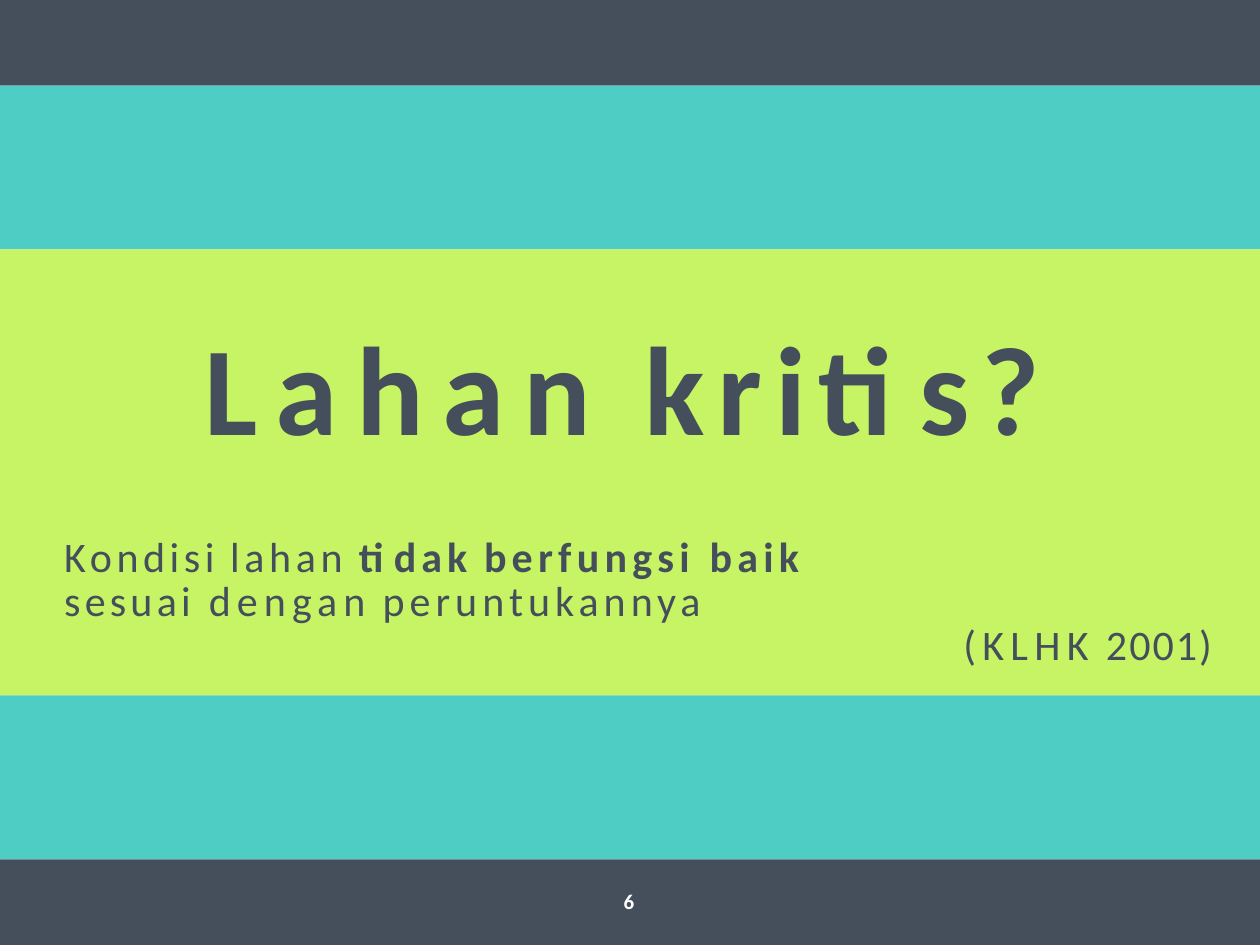
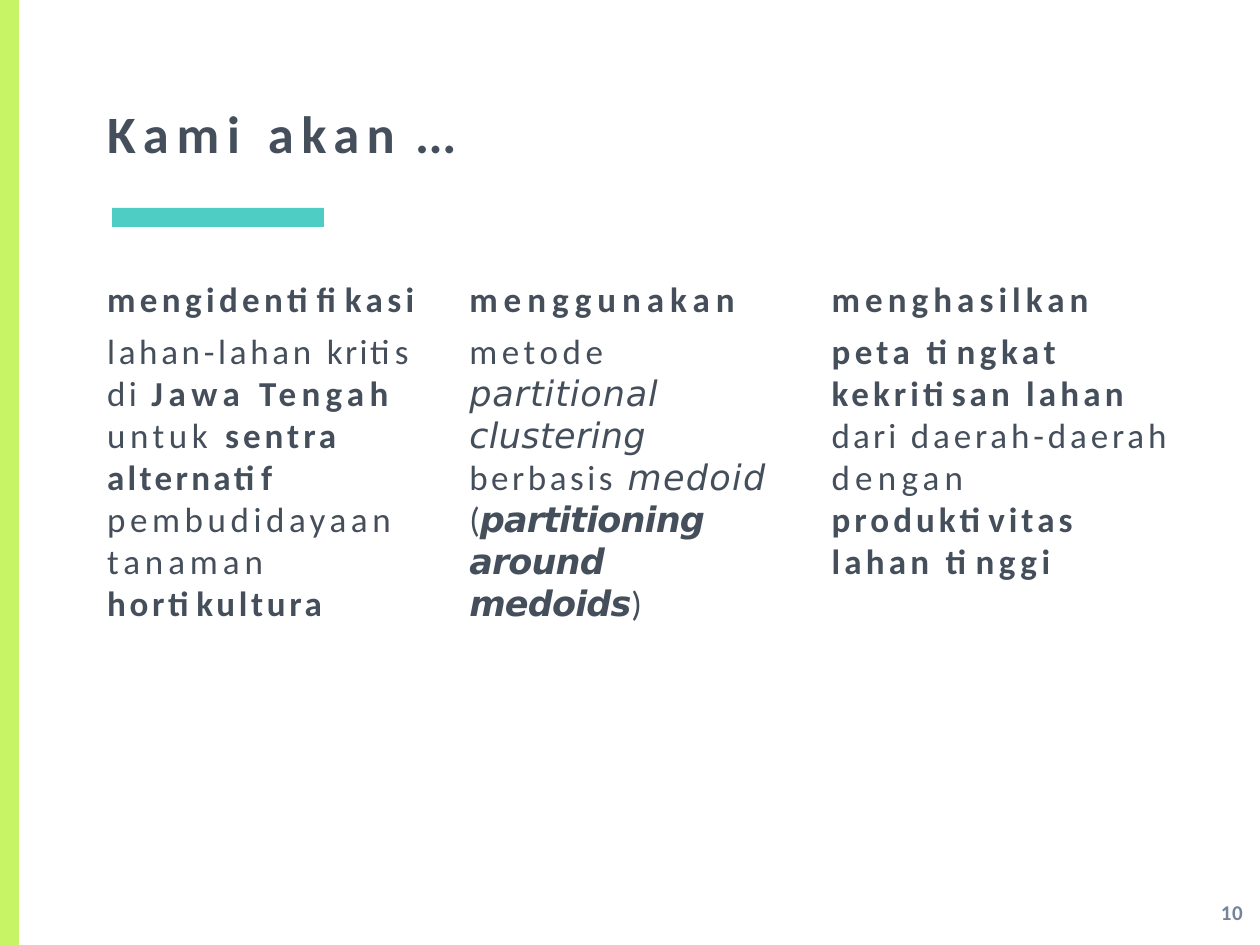
from dataclasses import dataclass

from pptx import Presentation
from pptx.dml.color import RGBColor
from pptx.enum import shapes, text
from pptx.util import Inches, Pt

SLATE, TEAL, LIME = "454F5B", "4ECDC4", "C7F464"
WHITE, GREY = "FFFFFF", "738498"
BODY_FONT, ITALIC_FONT = "Calibri", "DejaVu Sans"


@dataclass
class Band:
    left: float
    top: float
    width: float
    height: float
    color: str


@dataclass
class Run:
    words: str
    spacing: float = 0  # letter spacing in points
    bold: bool = False
    italic: bool = False


@dataclass
class Para:
    runs: list[Run]
    before: float = 0
    line: float | None = None
    align: text.PP_ALIGN = text.PP_ALIGN.LEFT


def rgb(color: str) -> RGBColor:
    return RGBColor.from_string(color)


def draw_band(slide, band: Band) -> None:
    shape = slide.shapes.add_shape(
        shapes.MSO_SHAPE.RECTANGLE, Inches(band.left), Inches(band.top),
        Inches(band.width), Inches(band.height))
    shape.shadow.inherit = False
    shape.fill.solid()
    shape.fill.fore_color.rgb = rgb(band.color)
    shape.line.fill.background()


def write(slide, paras: list[Para], left: float, top: float, width: float,
          height: float, *, size: float, color: str = SLATE,
          inset: float = 0.01, indent: float = 0.01) -> None:
    box = slide.shapes.add_textbox(
        Inches(left), Inches(top), Inches(width), Inches(height))
    frame = box.text_frame
    frame.word_wrap = True
    frame.auto_size = text.MSO_AUTO_SIZE.SHAPE_TO_FIT_TEXT
    frame.margin_left = frame.margin_right = frame.margin_bottom = 0
    frame.margin_top = Inches(inset)
    for i, para in enumerate(paras):
        line = frame.add_paragraph() if i else frame.paragraphs[0]
        line.alignment = para.align
        if para.align == text.PP_ALIGN.LEFT:
            line._p.get_or_add_pPr().set("marL", str(Inches(indent)))
        if para.before:
            line.space_before = Pt(para.before)
        if para.line:
            line.line_spacing = Pt(para.line)
        for part in para.runs:
            run = line.add_run()
            run.text = part.words
            font = run.font
            font.name = ITALIC_FONT if part.italic else BODY_FONT
            font.size = Pt(size)
            font.bold, font.italic = part.bold, part.italic
            font.color.rgb = rgb(color)
            run._r.get_or_add_rPr().set("spc", str(round(part.spacing * 100)))


def write_title(slide, runs: list[Run], left: float, top: float,
                width: float, height: float, size: float) -> None:
    write(slide, [Para(runs)], left, top, width, height, size=size)


def write_page_number(slide, number: str, left: float, top: float,
                      width: float, *, color: str, spacing: float,
                      indent: float) -> None:
    write(slide, [Para([Run(number, spacing, bold=True)])], left, top, width,
          0.23, size=12, color=color, indent=indent)


def build_question(slide) -> None:
    # Full-width bands stacked from top to bottom
    top = 0.0
    for height, color in ((0.68, SLATE), (1.3, TEAL), (3.54, LIME),
                          (1.3, TEAL), (0.68, SLATE)):
        draw_band(slide, Band(0, top, 10, height, color))
        top += height

    write_title(slide, [Run("Lahan", 10.6, True), Run(" ", 3.7, True),
                        Run("kritis?", 7.3, True)],
                1.61, 2.45, 6.78, 1.23, 72)

    # Definition and its source; word gaps are tighter than the letters
    definition = [
        Para([Run("Kondisi", 2.6), Run(" ", 0.8), Run("lahan", 2.7),
              Run(" ", 1), Run("tidak", 2.9, True), Run(" ", 1.2, True),
              Run("berfungsi baik", 3, True)], line=28.6),
        Para([Run("sesuai ", 2.4), Run("dengan", 3.5), Run(" ", 0.8),
              Run("peruntukannya", 2.9)], line=25.1),
        Para([Run("(KLHK", 3.6), Run(" ", 0.8), Run("2001)", 1.2)],
             line=25.2, align=text.PP_ALIGN.RIGHT),
    ]
    write(slide, definition, 0.5, 4.2, 9.12, 1.12, size=24)
    write_page_number(slide, "6", 4.92, 7.04, 0.17, color=WHITE, spacing=1.8,
                      indent=0.03)


def build_plan(slide) -> None:
    # Title rule and side stripe
    draw_band(slide, Band(0.89, 1.65, 1.68, 0.15, TEAL))
    draw_band(slide, Band(0, 0, 0.15, 7.5, LIME))
    write_title(slide, [Run("Kami ", 4.5, True), Run("akan", 4.3, True),
                        Run(" ", 0.3, True), Run("...", -0.2, True)],
                0.84, 0.79, 3.4, 0.53, 30)
    write_page_number(slide, "10", 9.63, 7.13, 0.26, color=GREY, spacing=0.4,
                      indent=0.06)

    # Three aims: heading, column width, explanation
    aims = [
        (Run("mengidentifikasi", 2.5, True), 2.51, [
            Run("lahan-lahan ", 2.1), Run("kritis ", 1.4), Run("di ", 1.9),
            Run("Jawa ", 3.2, True), Run("Tengah ", 3, True),
            Run("untuk ", 2.6), Run("sentra ", 2.3, True),
            Run("alternatif ", 1.9, True), Run("pembudidayaan ", 2.6),
            Run("tanaman ", 2.8), Run("hortikultura", 2.1, True)]),
        (Run("menggunakan", 3.4, True), 2.5, [
            Run("metode ", 2.6), Run("partitional ", 0.5, italic=True),
            Run("clustering ", 0.2, italic=True), Run("berbasis ", 2),
            Run("medoid ", 0.7, italic=True), Run("(", -0.5),
            Run("partitioning around medoids", -0.5, True, True),
            Run(")", -0.5)]),
        (Run("menghasilkan", 2.9, True), 2.71, [
            Run("peta ", 2.5, True), Run("tingkat ", 2.6, True),
            Run("kekritisan ", 2.3, True), Run("lahan ", 2.4, True),
            Run("dari ", 1.8), Run("daerah-daerah ", 2.2), Run("dengan ", 3),
            Run("produktivitas ", 2.3, True), Run("lahan ", 2.4, True),
            Run("tinggi", 2.6, True)]),
    ]
    column_pitch = (6.59 - 0.84) / (len(aims) - 1)
    for i, (heading, width, explanation) in enumerate(aims):
        write(slide, [Para([heading]), Para(explanation, before=6)],
              0.84 + i * column_pitch, 2.1, width, 2.86, size=20, inset=0.1)


def main() -> None:
    deck = Presentation()
    deck.slide_width, deck.slide_height = Inches(10), Inches(7.5)
    blank = deck.slide_layouts[6]
    for build in (build_question, build_plan):
        build(deck.slides.add_slide(blank))
    deck.save("out.pptx")


if __name__ == "__main__":
    main()
